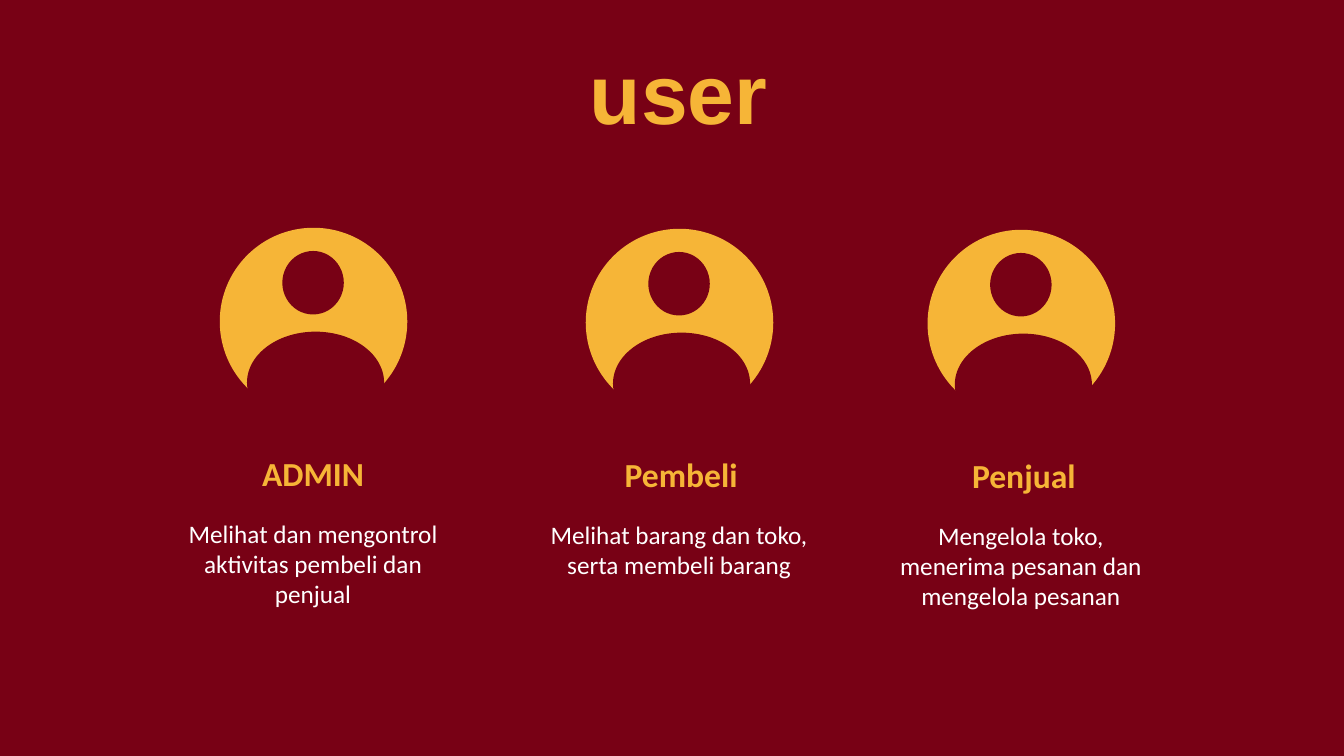
from pptx import Presentation
from pptx.dml.color import RGBColor
from pptx.enum.shapes import MSO_SHAPE
from pptx.enum.text import MSO_ANCHOR, MSO_AUTO_SIZE, PP_ALIGN
from pptx.util import Inches, Pt

MAROON = "780115"
GOLD = "F6B537"
WHITE = "FFFFFF"


def color(hex_string):
    return RGBColor.from_string(hex_string)


def write_centered(shape, box, text, font_name, size, hex_string, bold):
    """Place a text shape and fill it with one centred, formatted paragraph."""
    shape.left, shape.top, shape.width, shape.height = map(Inches, box)
    text_frame = shape.text_frame
    text_frame.text = text
    text_frame.word_wrap = True
    text_frame.auto_size = MSO_AUTO_SIZE.SHAPE_TO_FIT_TEXT
    text_frame.vertical_anchor = MSO_ANCHOR.TOP
    paragraph = text_frame.paragraphs[0]
    paragraph.alignment = PP_ALIGN.CENTER
    font = paragraph.runs[0].font
    font.name, font.size, font.bold = font_name, Pt(size), bold
    font.color.rgb = color(hex_string)


presentation = Presentation()
presentation.slide_width = Inches(13.33)
presentation.slide_height = Inches(7.5)
slide = presentation.slides.add_slide(presentation.slide_layouts[5])
slide.background.fill.solid()
slide.background.fill.fore_color.rgb = color(MAROON)

write_centered(slide.shapes.title, (1.32, 0.35, 10.82, 1.11), "user", "Arial", 60, GOLD, True)

# Icon left and top, role, role left and width, description, description height
users = [
    (2.18, 2.26, "ADMIN", 2.45, 1.31, "Melihat dan mengontrol aktivitas pembeli dan penjual", 1.01),
    (5.81, 2.27, "Pembeli", 5.96, 1.59, "Melihat barang dan toko, serta membeli barang", 0.71),
    (9.2, 2.28, "Penjual", 9.36, 1.59, "Mengelola toko, menerima pesanan dan mengelola pesanan", 1.01),
]

# Offset from the icon corner, size and fill of the disc, head and shoulders
icon_parts = [
    (0, 0, 1.86, 1.86, GOLD),
    (0.62, 0.23, 0.61, 0.63, MAROON),
    (0.27, 1.03, 1.36, 1.01, MAROON),
]

for left, top, role, role_left, role_width, description, description_height in users:
    icon = slide.shapes.add_group_shape()
    for offset_x, offset_y, width, height, fill in icon_parts:
        oval = icon.shapes.add_shape(
            MSO_SHAPE.OVAL, Inches(left + offset_x), Inches(top + offset_y), Inches(width), Inches(height)
        )
        oval.shadow.inherit = False
        oval.fill.solid()
        oval.fill.fore_color.rgb = color(fill)
        oval.line.fill.background()

    role_box = (role_left, top + 2.18, role_width, 0.5)
    description_box = (left - 0.46, top + 2.83, 2.77, description_height)
    write_centered(slide.shapes.add_textbox(0, 0, 0, 0), role_box, role, "Calibri", 24, GOLD, True)
    write_centered(
        slide.shapes.add_textbox(0, 0, 0, 0), description_box, description, "Calibri", 18, WHITE, False
    )

presentation.save("out.pptx")
